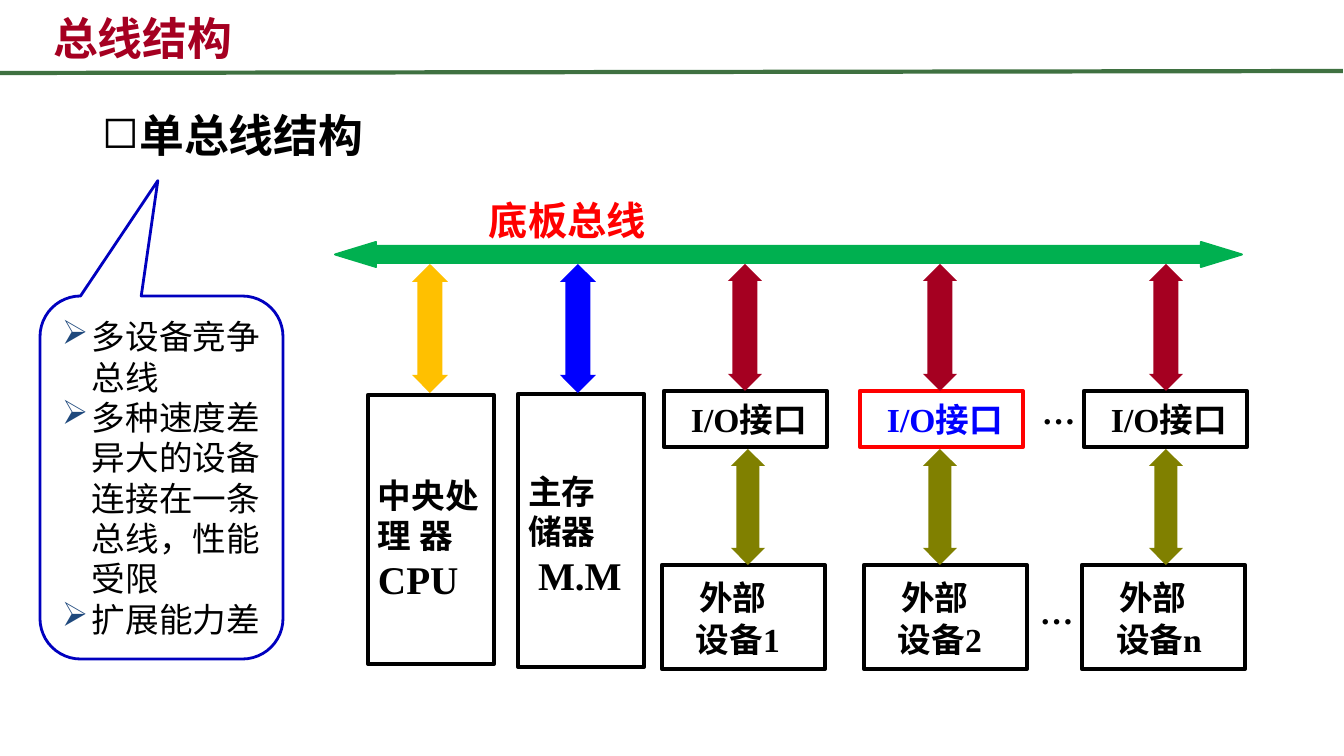
from lxml import etree
from pptx import Presentation
from pptx.dml.color import RGBColor
from pptx.enum.shapes import MSO_CONNECTOR, MSO_SHAPE
from pptx.enum.text import MSO_ANCHOR
from pptx.oxml.ns import qn
from pptx.util import Pt

EMU_PER_PX = 12192000 / 1344

BLACK = RGBColor(0x00, 0x00, 0x00)
WHITE = RGBColor(0xFF, 0xFF, 0xFF)
RED = RGBColor(0xFF, 0x00, 0x00)
BLUE = RGBColor(0x00, 0x00, 0xFF)
NAVY = RGBColor(0x00, 0x00, 0xBF)
CRIMSON = RGBColor(0xA5, 0x00, 0x21)
OLIVE = RGBColor(0x80, 0x80, 0x00)
AMBER = RGBColor(0xFF, 0xC0, 0x00)
BUS_GREEN = RGBColor(0x00, 0xB0, 0x50)
RULE_GREEN = RGBColor(0x3F, 0x71, 0x41)
BULLET_BLUE = RGBColor(0x1F, 0x49, 0x7D)

SERIF = "Times New Roman"
SANS = "Noto Sans CJK SC"

RECTANGLE = MSO_SHAPE.RECTANGLE
CALLOUT = MSO_SHAPE.ROUNDED_RECTANGULAR_CALLOUT
VERTICAL_ARROW = MSO_SHAPE.UP_DOWN_ARROW
HORIZONTAL_ARROW = MSO_SHAPE.LEFT_RIGHT_ARROW
STRAIGHT = MSO_CONNECTOR.STRAIGHT
TOP, MIDDLE, BOTTOM = MSO_ANCHOR.TOP, MSO_ANCHOR.MIDDLE, MSO_ANCHOR.BOTTOM


def px(length):
    return round(length * EMU_PER_PX)


class BusSlide:
    """Holds the slide and its text style; all lengths are in px."""

    def __init__(self, slide):
        self.slide = slide

    def set_text(self, shape, lines, size=24, font=SERIF, color=BLACK, bold=True,
                 margins=(0, 0, 0, 0), anchor=TOP, pitch=1.2, bullet=None,
                 hanging=0, bullet_color=None):
        """Fill a shape; each line is a text or (text, size, indent)."""
        frame = shape.text_frame
        frame.word_wrap = True
        frame.vertical_anchor = anchor
        (frame.margin_left, frame.margin_top,
         frame.margin_right, frame.margin_bottom) = map(px, margins)
        for index, line in enumerate(lines):
            text, line_size, indent = (
                line if isinstance(line, tuple) else (line, size, hanging))
            paragraph = frame.paragraphs[0] if index == 0 else frame.add_paragraph()
            paragraph.text = text
            paragraph.line_spacing = Pt(line_size * pitch)
            properties = paragraph._p.get_or_add_pPr()
            properties.set("algn", "l")
            properties.set("marL", str(px(indent)))
            properties.set("indent", str(-px(hanging)))
            if bullet:
                self.add_bullet(properties, bullet, bullet_color)
            paragraph.font.size = Pt(line_size)
            paragraph.font.bold = bold
            paragraph.font.color.rgb = color
            paragraph.font.name = font
            east_asian = etree.SubElement(properties.get_or_add_defRPr(), qn("a:ea"))
            east_asian.set("typeface", SANS)

    def add_bullet(self, properties, character, color):
        if color:
            bullet_color = etree.SubElement(properties, qn("a:buClr"))
            etree.SubElement(bullet_color, qn("a:srgbClr")).set("val", str(color))
        etree.SubElement(properties, qn("a:buChar")).set("char", character)

    def title(self, text, x, y, w, h):
        title = self.slide.shapes.title
        title.left, title.top, title.width, title.height = map(px, (x, y, w, h))
        self.set_text(title, [text], size=32, font=SANS, color=CRIMSON,
                      margins=(10, 5, 10, 5), anchor=BOTTOM)

    def label(self, text, x, y, w, h, **style):
        box = self.slide.shapes.add_textbox(*map(px, (x, y, w, h)))
        self.set_text(box, [text], **style)

    def shape(self, kind, x, y, w, h, fill=None, line=None, weight=3, adjust=()):
        shape = self.slide.shapes.add_shape(kind, *map(px, (x, y, w, h)))
        shape.shadow.inherit = False
        if fill is None:
            shape.fill.background()
        else:
            shape.fill.solid()
            shape.fill.fore_color.rgb = fill
        if line is None:
            shape.line.fill.background()
        else:
            shape.line.color.rgb = line
            shape.line.width = Pt(weight)
        for index, value in enumerate(adjust):
            shape.adjustments[index] = value
        return shape

    def block(self, lines, x, y, w, h, line=BLACK, **style):
        self.set_text(self.shape(RECTANGLE, x, y, w, h, line=line), lines, **style)

    def link(self, center, top, bottom, color, width=34, head=25):
        """Draw a vertical double arrow around a centre line."""
        self.shape(VERTICAL_ARROW, center - width // 2, top, width, bottom - top,
                   fill=color, adjust=(0.5, head / width))

    def rule(self, x1, y1, x2, y2, color, weight):
        rule = self.slide.shapes.add_connector(STRAIGHT, *map(px, (x1, y1, x2, y2)))
        rule.line.color.rgb = color
        rule.line.width = Pt(weight)
        etree.SubElement(rule._element.spPr, qn("a:effectLst"))


def main():
    deck = Presentation()
    deck.slide_width, deck.slide_height = px(1344), px(756)
    page = BusSlide(deck.slides.add_slide(deck.slide_layouts[5]))

    page.rule(0, 73, 1343, 71, RULE_GREEN, 3)
    page.title("总线结构", 43, 0, 774, 69)
    page.label("单总线结构", 92, 103, 478, 64, size=32,
               margins=(10, 5, 10, 5), bullet="◻", hanging=28)

    page.label("底板总线", 489, 196, 458, 47, size=28, color=RED)
    page.shape(HORIZONTAL_ARROW, 335, 242, 907, 25, fill=BUS_GREEN,
               line=BUS_GREEN, weight=1.38, adjust=(0.68, 1.64))

    page.block(["中央处理 器", ("CPU", 28, 0)],
               368, 395, 126, 269, margins=(10, 80, 10, 5))
    page.block(["主存", "储器", ("M.M", 28, 10)],
               518, 394, 126, 273, margins=(10, 77, 10, 5))
    page.link(430, 264, 393, AMBER, width=36)
    page.link(578, 264, 393, BLUE, width=36)

    io_columns = [
        # interface x, device x, upper and lower arrow centre, name, line, text
        (664, 662, 745, 748, "1", BLACK, BLACK),
        (860, 864, 940, 940, "2", RED, BLUE),
        (1084, 1082, 1166, 1166, "n", BLACK, BLACK),
    ]
    for io_x, device_x, bus_arrow, device_arrow, name, line, color in io_columns:
        page.block(["I/O接口"], io_x, 391, 163, 56, line=line, color=color,
                   margins=(27, 0, 0, 0), anchor=MIDDLE)
        page.block([("外部", 24, 3), "设备" + name], device_x, 565, 163, 104,
                   margins=(34, 0, 0, 0), anchor=MIDDLE, pitch=1.27)
        page.link(bus_arrow, 264, 391, CRIMSON)
        page.link(device_arrow, 449, 565, OLIVE, head=23)
    for x, y in ((1042, 391), (1040, 591)):
        page.label("…", x, y, 42, 40)

    callout = page.shape(CALLOUT, 40, 296, 243, 363, fill=WHITE, line=NAVY,
                         weight=2, adjust=(-0.015, -0.818, 0.167))
    page.set_text(callout,
                  ["多设备竞争总线", "多种速度差异大的设备连接在一条总线，性能受限", "扩展能力差"],
                  font=SANS, bold=False, margins=(10, 5, 8, 5), anchor=MIDDLE,
                  bullet="➢", hanging=30, bullet_color=BULLET_BLUE)

    deck.save("out.pptx")


if __name__ == "__main__":
    main()
